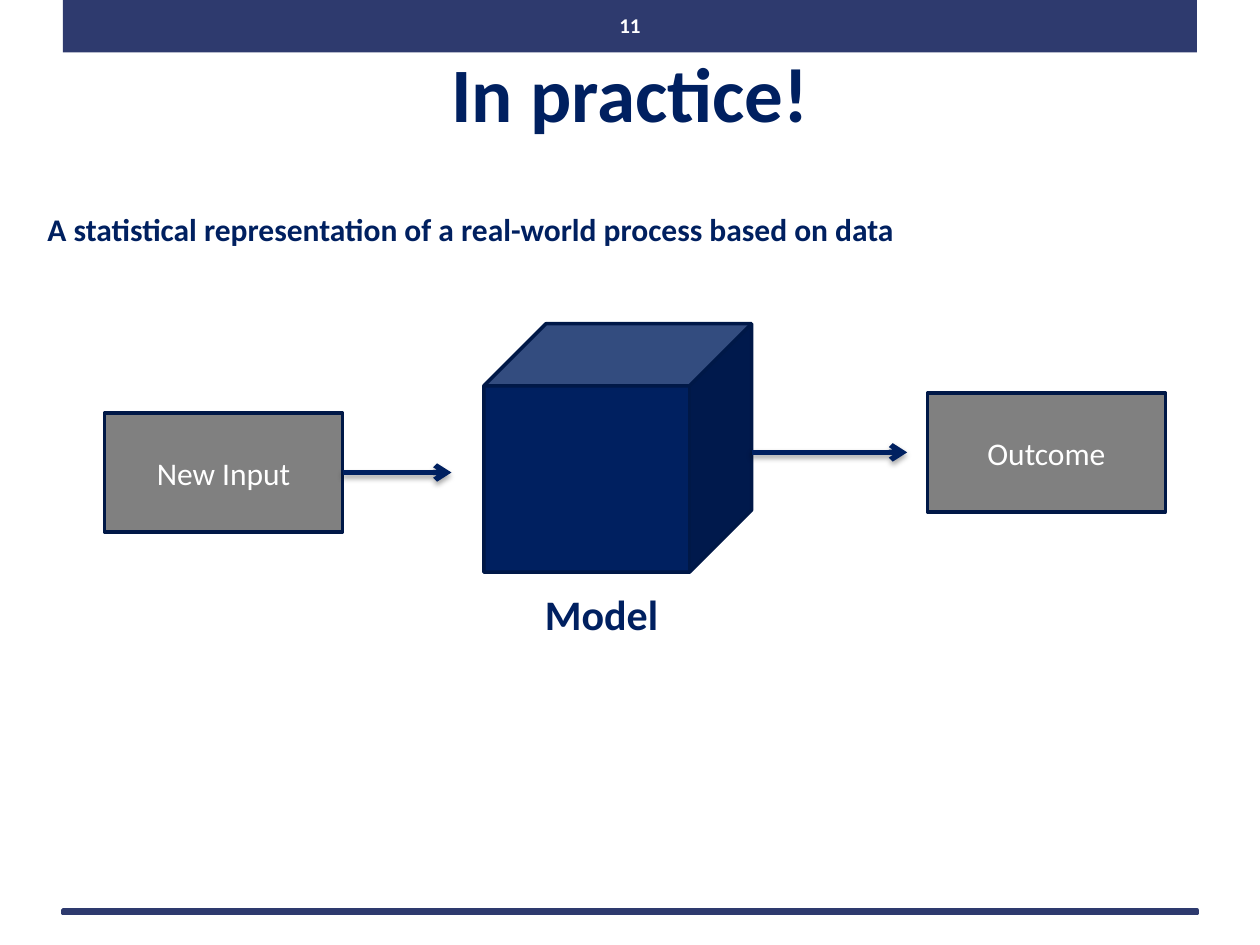
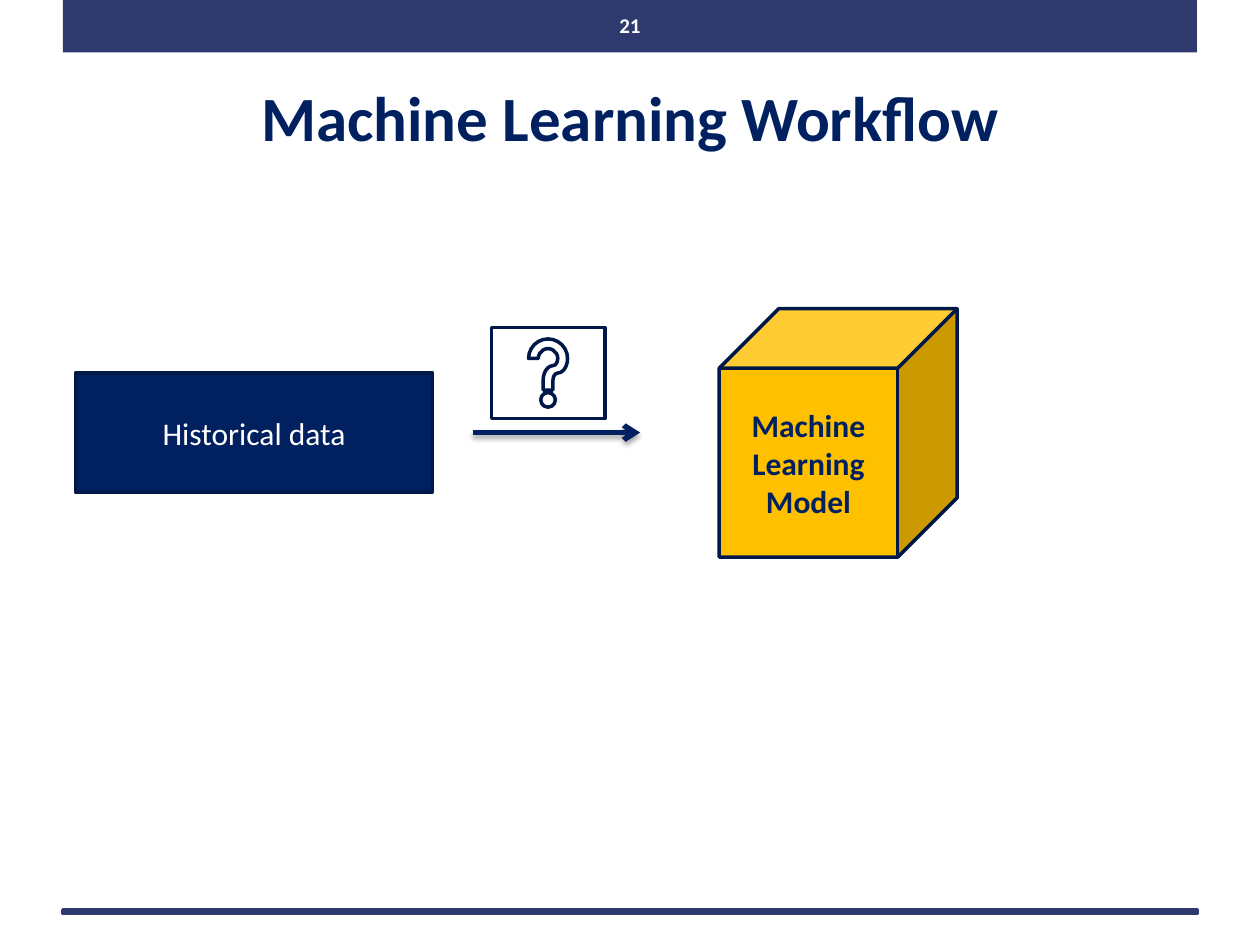
from dataclasses import dataclass

from lxml import etree
from pptx import Presentation
from pptx import util as u
from pptx.dml.color import RGBColor
from pptx.enum import shapes, text
from pptx.oxml import ns

Pt = u.Pt
KIND = shapes.MSO_SHAPE


@dataclass(frozen=True)
class Theme:
    font: str = "Calibri"
    navy: str = "002060"
    edge: str = "001847"
    band: str = "2E3A6E"
    grey: str = "808080"
    gold: str = "FFC000"
    white: str = "FFFFFF"
    black: str = "000000"
    number_size: int = 12
    body_size: int = 18
    label_size: int = 24
    outline: int = 2
    arrow: int = 3


class Deck:
    def __init__(self, theme):
        self.theme = theme
        self.prs = Presentation()
        self.prs.slide_width, self.prs.slide_height = Pt(720), Pt(540)
        self.s = None

    def slide(self, number, title, size, height):
        t = self.theme
        self.s = self.prs.slides.add_slide(self.prs.slide_layouts[5])
        self.shape(KIND.RECTANGLE, 36, 0, 648, 30, t.band)
        self.shape(KIND.RECTANGLE, 36, 520, 648, 2, t.navy, t.band)
        sp = self.s.shapes.title
        self.place(sp, 36, 21.6, 648, height)
        self.set_text(sp, title, size, t.navy, True)
        sp = self.label(number, 345.6, 0, 28.8, 28.8, t.number_size, t.white)
        sp.text_frame.vertical_anchor = text.MSO_ANCHOR.MIDDLE
        sp.text_frame.margin_left = sp.text_frame.margin_right = 0

    def place(self, sp, x, y, w, h):
        sp.left, sp.top, sp.width, sp.height = Pt(x), Pt(y), Pt(w), Pt(h)

    def set_text(self, sp, words, size, color, bold=False, align=text.PP_ALIGN.CENTER):
        tf = sp.text_frame
        tf.word_wrap = True
        tf.text = words
        p = tf.paragraphs[0]
        p.alignment = align
        p.font.name, p.font.size, p.font.bold = self.theme.font, Pt(size), bold
        p.font.color.rgb = RGBColor.from_string(color)

    def label(self, words, x, y, w, h, size, color, align=text.PP_ALIGN.CENTER):
        sp = self.s.shapes.add_textbox(Pt(x), Pt(y), Pt(w), Pt(h))
        self.set_text(sp, words, size, color, True, align)
        return sp

    def shape(self, kind, x, y, w, h, fill=None, line=None):
        sp = self.s.shapes.add_shape(kind, Pt(x), Pt(y), Pt(w), Pt(h))
        sp.shadow.inherit = False
        if fill:
            sp.fill.solid()
            sp.fill.fore_color.rgb = RGBColor.from_string(fill)
        else:
            sp.fill.background()
        if line:
            sp.line.color.rgb = RGBColor.from_string(line)
            sp.line.width = Pt(self.theme.outline)
        else:
            sp.line.fill.background()
        return sp

    def box(self, words, x, y, w, fill):
        sp = self.shape(KIND.RECTANGLE, x, y, w, 68, fill, self.theme.edge)
        self.set_text(sp, words, self.theme.body_size, self.theme.white)
        sp.text_frame.vertical_anchor = text.MSO_ANCHOR.MIDDLE

    def cube(self, x, y, w, fill, words=None):
        sp = self.shape(KIND.CUBE, x, y, w, 142, fill, self.theme.edge)
        if words:
            self.set_text(sp, words, self.theme.body_size, self.theme.navy, True)
            sp.text_frame.vertical_anchor = text.MSO_ANCHOR.MIDDLE

    def arrow(self, x1, x2, y):
        sp = self.s.shapes.add_connector(
            shapes.MSO_CONNECTOR.STRAIGHT, Pt(x1), Pt(y), Pt(x2), Pt(y))
        sp.line.color.rgb = RGBColor.from_string(self.theme.navy)
        sp.line.width = Pt(self.theme.arrow)
        spPr = sp._element.spPr
        etree.SubElement(spPr.find(ns.qn("a:ln")), ns.qn("a:tailEnd"), type="arrow")
        effects = etree.SubElement(spPr, ns.qn("a:effectLst"))
        shadow = etree.SubElement(
            effects, ns.qn("a:outerShdw"), blurRad=str(Pt(3.1)), dist=str(Pt(1.8)),
            dir="5400000", rotWithShape="0")
        color = etree.SubElement(shadow, ns.qn("a:srgbClr"), val=self.theme.black)
        etree.SubElement(color, ns.qn("a:alpha"), val="35000")


def practice(d):
    t = d.theme
    d.slide("11", "In practice!", 44, 61.2)
    d.cube(276.5, 185, 153, t.navy)
    d.label("Model", 276.5, 332.6, 134.6, 36, t.label_size, t.navy)
    d.label("A statistical representation of a real-world process based on data",
            20, 116.6, 669, 29, t.body_size, t.navy, text.PP_ALIGN.LEFT)
    d.box("New Input", 59.8, 236, 136, t.grey)
    d.arrow(195.8, 258, 270)
    d.arrow(429.5, 518.4, 258.5)
    d.box("Outcome", 530, 224.5, 136, t.grey)


def workflow(d):
    t = d.theme
    d.slide("21", "Machine Learning Workflow", 36, 90)
    d.box("Historical data", 43.2, 213.2, 204, t.navy)
    d.arrow(270, 365.8, 247.2)
    d.shape(KIND.ACTION_BUTTON_HELP, 280.8, 187.2, 64.8, 52, line=t.edge)
    d.cube(411, 176.4, 136, t.gold, "Machine Learning Model")


def main():
    d = Deck(Theme())
    practice(d)
    workflow(d)
    d.prs.save("out.pptx")


if __name__ == "__main__":
    main()
